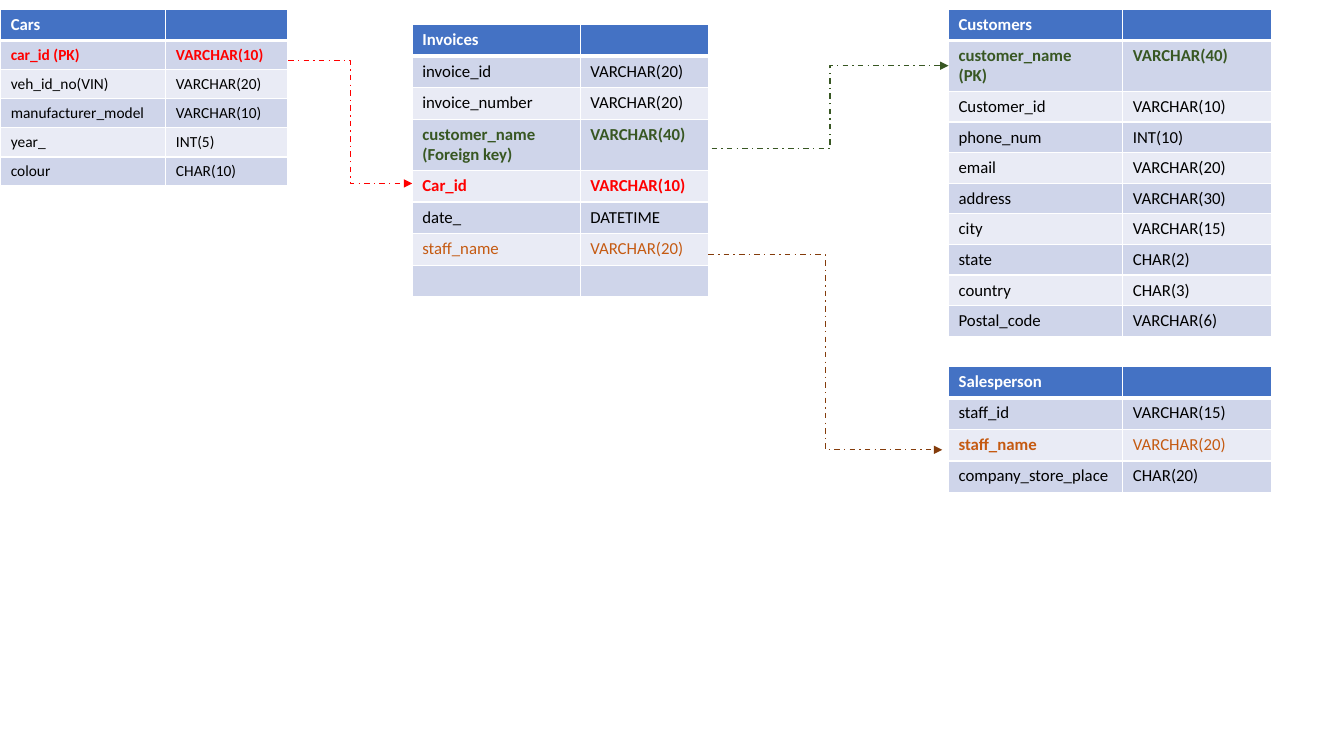
from lxml.etree import SubElement
from pptx import Presentation
from pptx.dml.color import RGBColor as RGB
from pptx.enum.dml import MSO_LINE_DASH_STYLE as DASH
from pptx.enum.shapes import MSO_CONNECTOR_TYPE as CONN
from pptx.oxml.ns import qn
from pptx.util import Pt

COLORS = {
    "header": "4472C4", "odd": "CFD5EA", "even": "E9EBF5",
    "white": "FFFFFF", "text": "000000", "car": "FF0000",
    "customer": "385723", "staff": "C55A11", "staff_link": "843C0B",
}
PLAIN, BOLD, BOLD_NAME = (False, False), (True, True), (True, False)

CARS = [
    ("car_id (PK)", "VARCHAR(10)", "car", BOLD),
    ("veh_id_no(VIN)", "VARCHAR(20)"),
    ("manufacturer_model", "VARCHAR(10)"),
    ("year_", "INT(5)"),
    ("colour", "CHAR(10)"),
]
CUSTOMERS = [
    ("customer_name\n(PK)", "VARCHAR(40)", "customer", BOLD),
    ("Customer_id", "VARCHAR(10)"),
    ("phone_num", "INT(10)"),
    ("email", "VARCHAR(20)"),
    ("address", "VARCHAR(30)"),
    ("city", "VARCHAR(15)"),
    ("state", "CHAR(2)"),
    ("country", "CHAR(3)"),
    ("Postal_code", "VARCHAR(6)"),
]
SALESPERSON = [
    ("staff_id", "VARCHAR(15)"),
    ("staff_name", "VARCHAR(20)", "staff", BOLD_NAME),
    ("company_store_place", "CHAR(20)"),
]
INVOICES = [
    ("invoice_id", "VARCHAR(20)"),
    ("invoice_number", "VARCHAR(20)"),
    ("customer_name\n(Foreign key)", "VARCHAR(40)", "customer", BOLD),
    ("Car_id", "VARCHAR(10)", "car", BOLD),
    ("date_", "DATETIME"),
    ("staff_name", "VARCHAR(20)", "staff"),
    ("", ""),
]


def rgb(name):
    return RGB.from_string(COLORS[name])


def write_text(tf, text, size=12, color="text", bold=False):
    for i, line in enumerate(text.split("\n")):
        p = tf.add_paragraph() if i else tf.paragraphs[0]
        if not line:
            p._p.get_or_add_endParaRPr().set("sz", str(size * 100))
            continue
        r = p.add_run()
        r.text = line
        r.font.name = "Calibri"
        r.font.size = Pt(size)
        r.font.bold = bold
        r.font.color.rgb = rgb(color)


def add_borders(cell, bottom):
    tcPr = cell._tc.get_or_add_tcPr()
    for side, width in (("L", 1), ("R", 1), ("T", 1), ("B", bottom)):
        ln = SubElement(tcPr, qn(f"a:ln{side}"), w=str(Pt(width)))
        fill = SubElement(ln, qn("a:solidFill"))
        SubElement(fill, qn("a:srgbClr"), val=COLORS["white"])


def format_cell(cell, text, fill, bottom=1, **style):
    add_borders(cell, bottom)
    cell.fill.solid()
    cell.fill.fore_color.rgb = rgb(fill)
    write_text(cell.text_frame, text, **style)


def add_entity(slide, title, fields, left, top, widths, header_height,
               row_height, size=12):
    heights = [header_height] + [36.5 if "\n" in f[0] else row_height for f in fields]
    frame = slide.shapes.add_table(len(heights), 2, Pt(left), Pt(top),
                                   Pt(sum(widths)), Pt(sum(heights)))
    table = frame.table
    for column, width in zip(table.columns, widths):
        column.width = Pt(width)
    for row, height in zip(table.rows, heights):
        row.height = Pt(height)
    for c, text in enumerate((title, "")):
        format_cell(table.cell(0, c), text, "header", bottom=3,
                    color="white", bold=True)
    for n, (name, kind, *style) in enumerate(fields, 1):
        color, bold = (style + ["text", PLAIN][len(style):])
        for c, text in enumerate((name, kind)):
            cell = table.cell(n, c)
            format_cell(cell, text, "odd" if n % 2 else "even",
                        size=size, color=color, bold=bold[c])
            if n == 1:
                cell._tc.tcPr.find(qn("a:lnT")).set("w", str(Pt(3)))


def add_link(slide, start, end, color):
    link = slide.shapes.add_connector(CONN.ELBOW, *map(Pt, start + end))
    link.line.color.rgb = rgb(color)
    link.line.width = Pt(1)
    link.line.dash_style = DASH.DASH_DOT
    SubElement(link.line._get_or_add_ln(), qn("a:tailEnd"), type="triangle")
    SubElement(link._element.spPr, qn("a:effectLst"))


def build_schema(slide):
    right, right_widths = 677.5, (124.5, 106)
    add_entity(slide, "Cars", CARS, 0.5, 7, (118, 87), 21.8, 20.7, size=11)
    add_entity(slide, "Customers", CUSTOMERS, right, 7, right_widths, 21.8, 21.8)
    add_entity(slide, "Salesperson", SALESPERSON, right, 261.5, right_widths, 22.6, 22.6)
    add_entity(slide, "Invoices", INVOICES, 294.5, 17.5, (120, 91.5), 22.6, 22.6)
    add_link(slide, (206, 43.2), (294.5, 131), "car")
    add_link(slide, (506, 182), (673, 321.3), "staff_link")
    add_link(slide, (508.3, 106.2), (677.5, 47), "customer")


def main():
    prs = Presentation()
    prs.slide_width, prs.slide_height = Pt(960), Pt(540)
    build_schema(prs.slides.add_slide(prs.slide_layouts[6]))
    prs.save("out.pptx")


if __name__ == "__main__":
    main()
